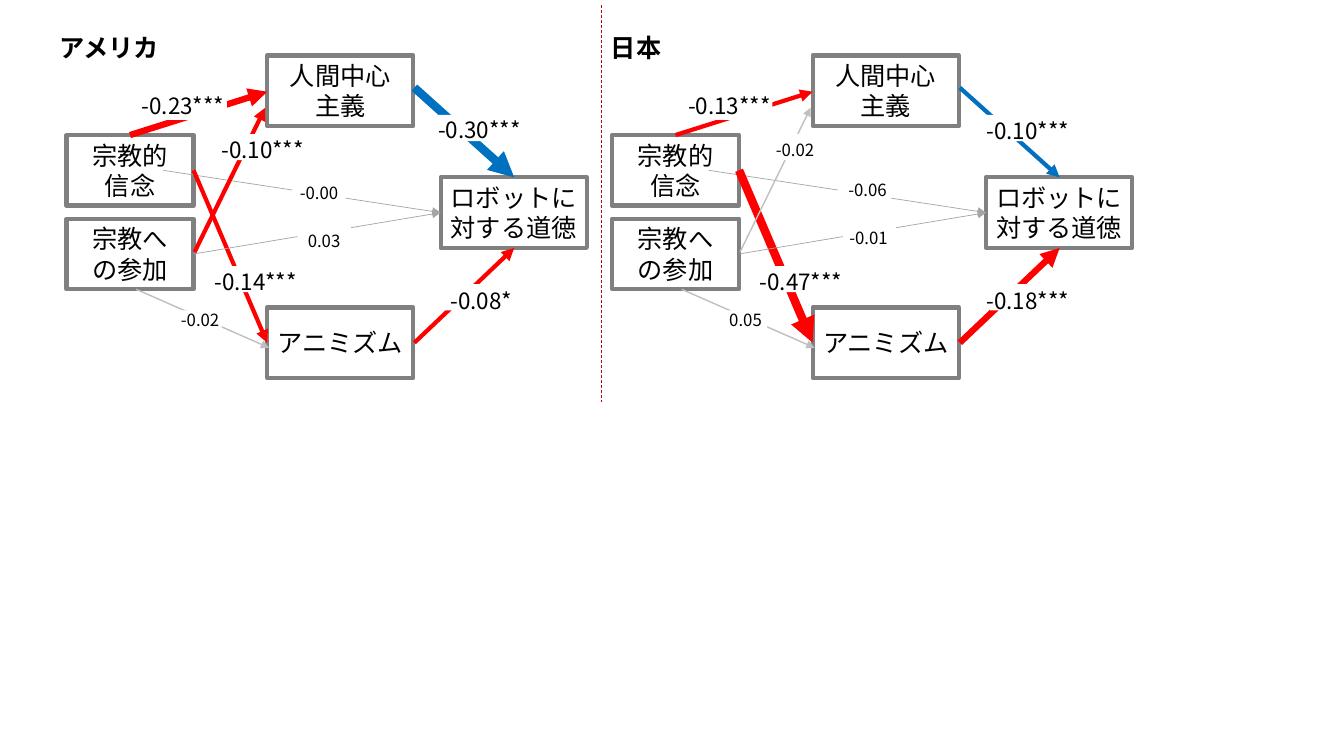
from pptx import Presentation
from pptx.dml.color import RGBColor
from pptx.enum.dml import MSO_LINE
from pptx.enum.shapes import MSO_CONNECTOR, MSO_SHAPE
from pptx.enum.text import MSO_ANCHOR, PP_ALIGN
from pptx.oxml.ns import qn
from pptx.util import Inches, Pt
from lxml import etree

RECT, LINE = MSO_SHAPE.RECTANGLE, MSO_CONNECTOR.STRAIGHT
MID, MIDDLE, LEFT, DASH = PP_ALIGN.CENTER, MSO_ANCHOR.MIDDLE, PP_ALIGN.LEFT, MSO_LINE.DASH
FONT = "Noto Sans CJK JP"
HEX = {"text": "000000", "white": "FFFFFF", "frame": "808080", "red": "FF0000",
       "blue": "0070C0", "faint": "A5A5A5", "pale": "BFBFBF", "split": "C00000"}
RGB = {name: RGBColor.from_string(code) for name, code in HEX.items()}

# Boxes: left, top, width, text
BOXES = [
    (0.66, 1.34, 1.26, "宗教的\n信念"),
    (0.66, 2.17, 1.26, "宗教へ\nの参加"),
    (2.65, 0.55, 1.45, "人間中心\n主義"),
    (2.65, 3.05, 1.45, "アニミズム"),
    (4.37, 1.76, 1.45, "ロボットに対する道徳"),
]
# Paths: arrow ends, colour if significant, colour and width if not, mask
PATHS = [
    ((1.29, 1.34, 2.65, 0.91), "red", ("pale", 1), (1.58, 1, 0.67, 0.19)),
    ((1.62, 1.69, 4.37, 2.11), "red", ("faint", 0.5), (2.9, 1.73, 0.53, 0.26)),
    ((4.11, 0.87, 5.1, 1.76), "blue", ("pale", 1), (4.34, 1.14, 0.53, 0.26)),
    ((1.92, 1.69, 2.65, 3.4), "red", ("pale", 1), (2.14, 2.64, 0.53, 0.26)),
    ((4.11, 3.4, 5.1, 2.46), "red", ("pale", 1), (4.41, 2.82, 0.53, 0.26)),
    ((1.92, 2.52, 4.37, 2.11), "red", ("faint", 0.5), (2.95, 2.21, 0.53, 0.26)),
    ((1.93, 2.5, 2.63, 1.07), "red", ("pale", 1), (2.25, 1.33, 0.53, 0.26)),
    ((1.35, 2.87, 2.67, 3.45), "pale", ("pale", 1), (1.67, 3.08, 0.53, 0.26)),
]
# Panels: heading, its width, left shift, then value and label corner per path
PANELS = [
    ("アメリカ", 1.21, 0.49, 0, [
        ("-0.23***", 1.25, 0.83), ("-0.00", 2.6, 1.7), ("-0.30***", 4.19, 1.07),
        ("-0.14***", 1.97, 2.58), ("-0.08*", 4.21, 2.77), ("0.03", 2.65, 2.17),
        ("-0.10***", 2.04, 1.27), ("-0.02", 1.42, 2.96)]),
    ("日本", 0.71, 5.96, 5.41, [
        ("-0.13***", 1.26, 0.83), ("-0.06", 2.63, 1.67), ("-0.10***", 4.22, 1.08),
        ("-0.47***", 1.97, 2.58), ("-0.18***", 4.22, 2.77), ("-0.01", 2.64, 2.14),
        ("-0.02", 1.91, 1.27), ("0.05", 1.42, 2.96)]),
]

deck = Presentation()
deck.slide_width, deck.slide_height = Inches(13.33), Inches(7.5)
slide = deck.slides.add_slide(deck.slide_layouts[6])
shapes = slide.shapes


def write(shape, text, size, align=MID, bold=False, wrap=True):
    frame = shape.text_frame
    frame.text, frame.word_wrap, frame.vertical_anchor = text, wrap, MIDDLE
    for para in frame.paragraphs:
        para.alignment = align
        font = para.font
        font.name, font.size, font.bold = FONT, Pt(size), bold
        font.color.rgb = RGB["text"]
        for run in para.runs:
            east = etree.SubElement(run.font._element, qn("a:ea"))
            east.set("typeface", FONT)


def join(ends, color, width):
    link = shapes.add_connector(LINE, *map(Inches, ends))
    link.line.color.rgb, link.line.width = RGB[color], Pt(width)
    etree.SubElement(link._element.spPr, qn("a:effectLst"))
    return link


for title, wide, left, shift, labels in PANELS:
    # Boxes
    for x, y, w, text in BOXES:
        box = shapes.add_shape(RECT, *map(Inches, (x + shift, y, w, 0.7)))
        box.shadow.inherit = False
        box.fill.solid()
        box.fill.fore_color.rgb = RGB["white"]
        box.line.color.rgb, box.line.width = RGB["frame"], Pt(3)
        write(box, text, 18)
        box.text_frame.margin_left = box.text_frame.margin_right = Inches(0.05)

    # Arrows: strong effects are thicker
    for (ends, strong, weak, mask), (value, x, y) in zip(PATHS, labels):
        color, width = weak
        if "*" in value:
            size = abs(float(value.rstrip("*")))
            color, width = strong, 6 if size >= 0.3 else 4.5 if size >= 0.18 else 3
        x1, y1, x2, y2 = ends
        arrow = join((x1 + shift, y1, x2 + shift, y2), color, width)
        head = etree.SubElement(arrow.line._get_or_add_ln(), qn("a:tailEnd"))
        head.set("type", "triangle")

    # Values on white masks
    for (ends, strong, weak, mask), (value, x, y) in zip(PATHS, labels):
        mx, my, mw, mh = mask
        patch = shapes.add_shape(RECT, *map(Inches, (mx + shift, my, mw, mh)))
        patch.shadow.inherit = False
        patch.fill.solid()
        patch.fill.fore_color.rgb = RGB["white"]
        patch.line.fill.background()
        label = shapes.add_textbox(*map(Inches, (x + shift, y, 1.13, 0.43)))
        write(label, value, 16 if "*" in value else 12)

    # Heading
    head = shapes.add_textbox(*map(Inches, (left, 0.27, wide, 0.4)))
    write(head, title, 18, LEFT, True, False)

# Divider between the panels
split = join((5.96, 0.05, 5.96, 3.99), "split", 0.5)
split.line.dash_style = DASH

deck.save("out.pptx")
